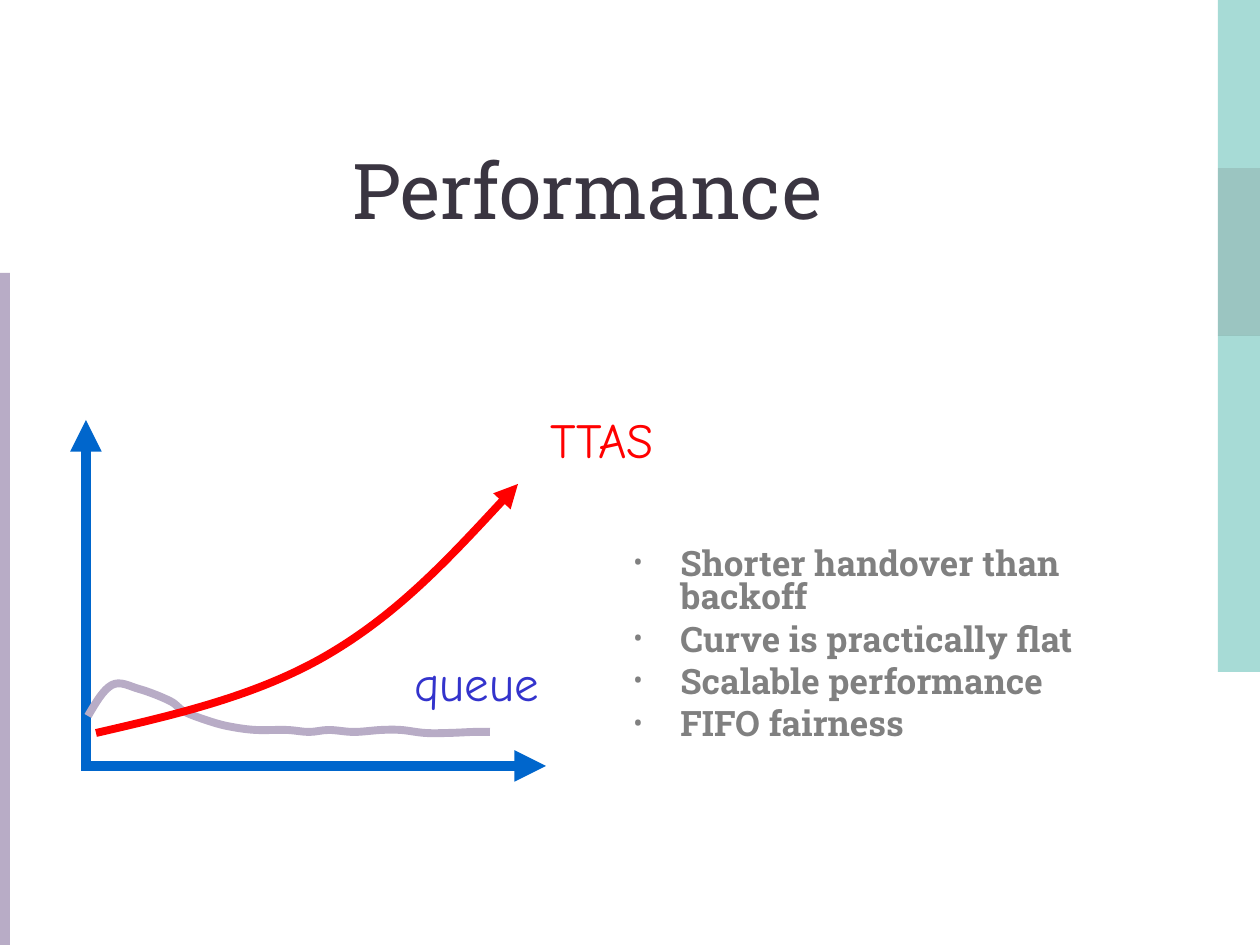
import pptx
import pptx.dml.color
import pptx.enum.shapes
import pptx.enum.text
import pptx.oxml
import pptx.oxml.ns
import pptx.util
from lxml import etree

SCALE = 914400 / 126
SLAB, COMIC = "Roboto Slab", "Comic Neue"
ALIGN = pptx.enum.text.PP_ALIGN
ANCHOR = pptx.enum.text.MSO_ANCHOR
FIT = pptx.enum.text.MSO_AUTO_SIZE

QUEUE_KNOTS = [
    (88, 716), (112, 685), (139, 689), (170, 701), (185, 712), (212, 722),
    (232, 727), (256, 730), (287, 730), (309, 732), (329, 730), (354, 732),
    (381, 730), (401, 730), (425, 733), (449, 733), (473, 732), (490, 732),
]
TTAS_KNOTS = [(96, 733), (329, 654), (518, 484)]
BENEFITS = [
    "Shorter handover than backoff",
    "Curve is practically flat",
    "Scalable performance",
    "FIFO fairness",
]


def px(length):
    return pptx.util.Emu(round(length * SCALE))


def rgb(value):
    return pptx.dml.color.RGBColor.from_string(value)


def assign(target, values):
    for name, value in values.items():
        setattr(target, name, value)


def add_child(parent, tag, **attributes):
    child = etree.SubElement(parent, pptx.oxml.ns.qn(tag))
    for name, value in attributes.items():
        child.set(name, str(value))
    return child


def add_bar(page, frame, color, alpha=None):
    bar = page.shapes.add_shape(
        pptx.enum.shapes.MSO_SHAPE.RECTANGLE, *map(px, frame))
    bar.shadow.inherit = False
    bar.line.fill.background()
    bar.fill.solid()
    bar.fill.fore_color.rgb = rgb(color)
    if alpha:
        fill_color = bar.fill._xPr.find(".//" + pptx.oxml.ns.qn("a:srgbClr"))
        add_child(fill_color, "a:alpha", val=alpha * 1000)


def add_text(page, frame, lines, font, color, frame_format=None, para_format=None):
    """Add one paragraph per line and return the paragraphs."""
    box = page.shapes.add_textbox(*map(px, frame))
    box.text_frame.word_wrap = True
    assign(box.text_frame, frame_format or {})
    box.text_frame.text = "\n".join(lines)
    for para in box.text_frame.paragraphs:
        assign(para, para_format or {})
        span = para.runs[0]
        assign(span.font, font)
        span.font.color.rgb = rgb(color)
    return box.text_frame.paragraphs


def add_bullet(para, color, indent):
    properties = para._p.get_or_add_pPr()
    properties.set("marL", str(px(indent)))
    properties.set("indent", str(-px(indent)))
    add_child(add_child(properties, "a:buClr"), "a:srgbClr", val=color)
    add_child(properties, "a:buSzPct", val=80000)
    add_child(properties, "a:buFont", typeface=SLAB)
    add_child(properties, "a:buChar", char="•")


def style_line(line, color, width, arrow):
    line.color.rgb = rgb(color)
    line.width = pptx.util.Pt(width)
    if arrow:
        add_child(line._get_or_add_ln(), "a:tailEnd", type="triangle")


def add_axis(page, start, end):
    axis = page.shapes.add_connector(
        pptx.enum.shapes.MSO_CONNECTOR.STRAIGHT, *map(px, start + end))
    style_line(axis.line, "0066CC", 6, True)
    add_child(axis._element.spPr, "a:effectLst")


def spline(knots):
    """Give the two handles and the end of each cubic segment through the knots."""
    def tangent(i):
        return [(b - a) / 6 for a, b in zip(knots[i - 1], knots[i + 1])]

    def midpoint(a, b):
        return [(p + q) / 2 for p, q in zip(a, b)]

    last = len(knots) - 1
    leave = {i: [p + t for p, t in zip(knots[i], tangent(i))] for i in range(1, last)}
    arrive = {i: [p - t for p, t in zip(knots[i], tangent(i))] for i in range(1, last)}
    leave[0] = midpoint(knots[0], arrive[1])
    arrive[last] = midpoint(knots[last], leave[last - 1])
    return [(leave[i], arrive[i + 1], knots[i + 1]) for i in range(last)]


def add_curve(page, knots, color, arrow=False):
    builder = page.shapes.build_freeform(*map(px, knots[0]))
    builder.add_line_segments([tuple(map(px, knot)) for knot in knots[1:]], close=False)
    curve = builder.convert_to_shape()
    left, top = (min(values) for values in zip(*knots))
    outline = curve._element.spPr.find(".//" + pptx.oxml.ns.qn("a:path"))
    for straight in outline.findall(pptx.oxml.ns.qn("a:lnTo")):
        outline.remove(straight)
    for segment in spline(knots):
        bend = add_child(outline, "a:cubicBezTo")
        for x, y in segment:
            add_child(bend, "a:pt", x=px(x - left), y=px(y - top))
    curve.shadow.inherit = False
    curve.fill.background()
    style_line(curve.line, color, 4.5, arrow)


def main():
    deck = pptx.Presentation()
    deck.slide_width, deck.slide_height = px(1260), px(945)
    page = deck.slides.add_slide(deck.slide_layouts[6])

    for i, color in enumerate(["51B9AF", "398D85", "51B9AF", "51B9AF"]):
        add_bar(page, (1218, 168 * i, 42, 168), color, alpha=50)
    add_bar(page, (0, 273, 10, 672), "B8ACC6")

    add_text(page, (52, 83, 1071, 158), ["Performance"],
             {"name": SLAB, "size": pptx.util.Pt(44)}, "3A3541",
             {"vertical_anchor": ANCHOR.BOTTOM}, {"alignment": ALIGN.CENTER})
    benefits = add_text(
        page, (621, 543, 530, 227), BENEFITS,
        {"name": SLAB, "size": pptx.util.Pt(20), "bold": True}, "808080",
        para_format={"line_spacing": 0.8, "space_before": pptx.util.Pt(5)})
    for para in benefits:
        add_bullet(para, "808080", 47)

    add_axis(page, (86, 771), (86, 420))
    add_axis(page, (86, 766), (546, 766))
    add_curve(page, QUEUE_KNOTS, "B8ACC6")
    for label, frame, color in [
        ("queue", (401, 646, 150, 72), "3333CC"),
        ("TTAS", (535, 403, 131, 72), "FF0000"),
    ]:
        add_text(page, frame, [label],
                 {"name": COMIC, "size": pptx.util.Pt(28)}, color,
                 {"word_wrap": False, "auto_size": FIT.SHAPE_TO_FIT_TEXT},
                 {"alignment": ALIGN.RIGHT})
    add_curve(page, TTAS_KNOTS, "FF0000", arrow=True)

    deck.save("out.pptx")


if __name__ == "__main__":
    main()
